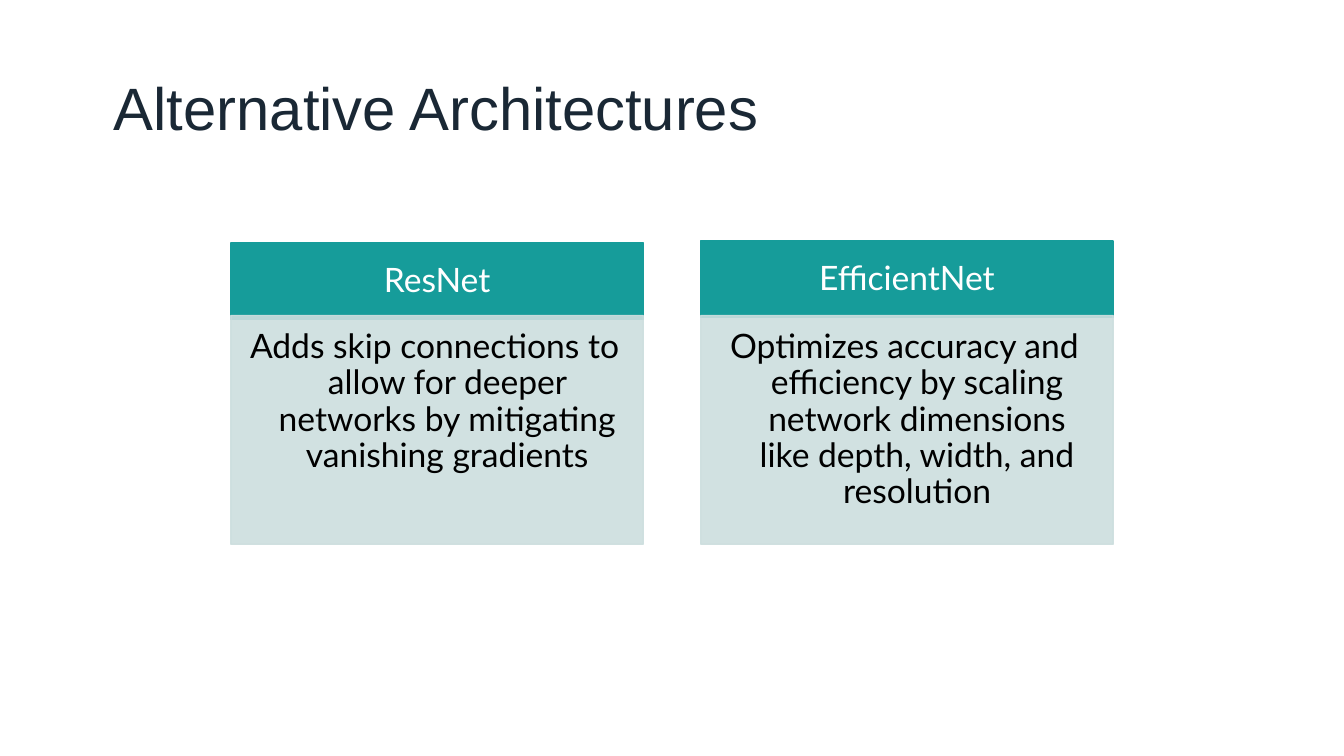
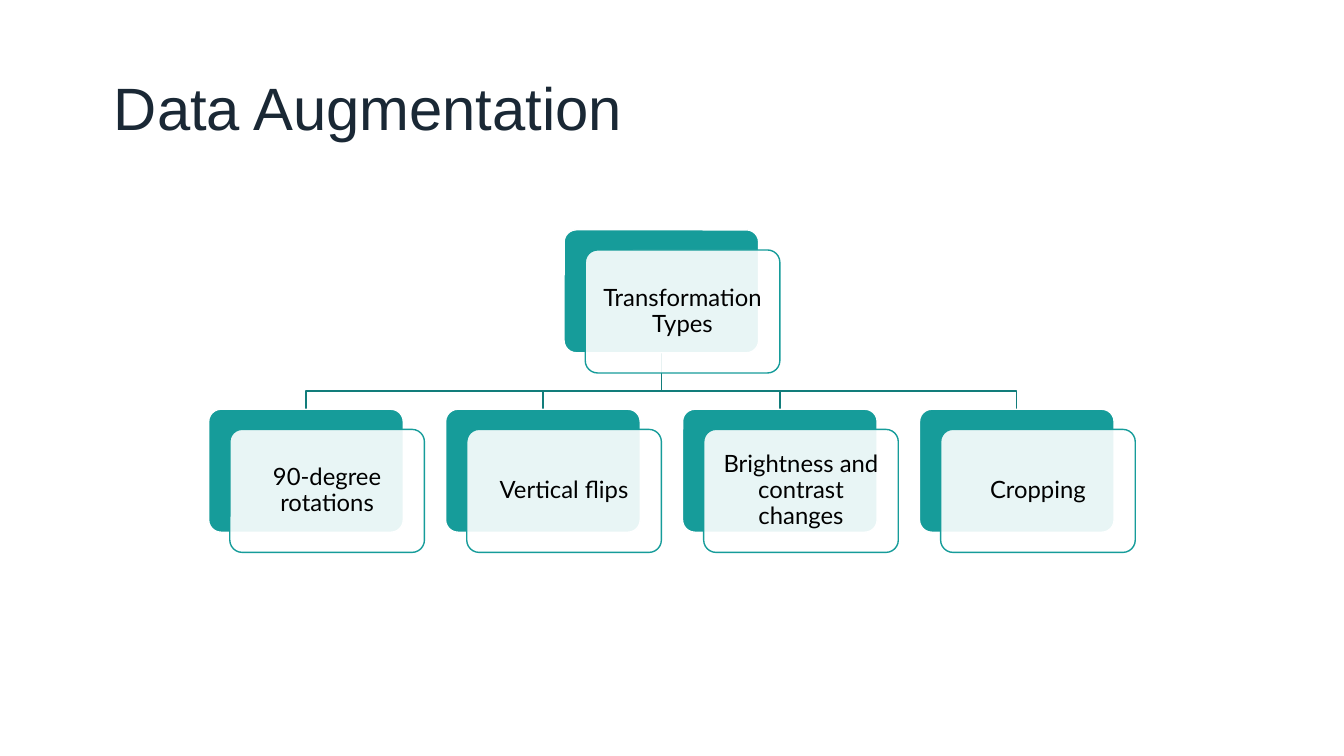
import pptx
import pptx.util
import pptx.dml.color
import pptx.enum.shapes
import pptx.enum.text
import pptx.oxml
import pptx.oxml.ns

Inches = pptx.util.Inches
Pt = pptx.util.Pt
RGBColor = pptx.dml.color.RGBColor
Shape = pptx.enum.shapes.MSO_SHAPE
Anchor = pptx.enum.text.MSO_ANCHOR
Align = pptx.enum.text.PP_ALIGN

TEAL = RGBColor(0x16, 0x9C, 0x9A)
DARK_TEAL = RGBColor(0x12, 0x7D, 0x7B)
PALE_TEAL = RGBColor(0xCC, 0xDE, 0xDE)
NAVY = RGBColor(0x1A, 0x28, 0x35)
WHITE = RGBColor(0xFF, 0xFF, 0xFF)
BLACK = RGBColor(0x00, 0x00, 0x00)

ARCHITECTURES_TITLE = "Alternative Architectures"
ARCHITECTURES = [
    ("ResNet", 2.41,
     "Adds skip connections to allow for deeper networks by mitigating vanishing gradients"),
    ("EfficientNet", 2.39,
     "Optimizes accuracy and efficiency by scaling network dimensions like depth, width, and resolution"),
]
AUGMENTATION_TITLE = "Data Augmentation"
ROOT = "Transformation Types"
TRANSFORMATIONS = [
    "90-degree rotations",
    "Vertical flips",
    "Brightness and contrast changes",
    "Cropping",
]

CARD_LEFT, CARD_WIDTH, CARD_PITCH = 2.29, 4.09, 4.66
HEADER_HEIGHT, BODY_TOP, BODY_HEIGHT = 0.76, 3.13, 2.27
NODE_WIDTH, NODE_HEIGHT = 1.93, 1.22
NODE_LEFT, NODE_PITCH = 2.07, 2.35
PANEL_SHIFT_X, PANEL_SHIFT_Y = 0.21, 0.2
ROOT_TOP, CHILD_TOP, BRANCH_Y = 2.28, 4.06, 3.88


def set_alpha(shape, path, percent):
    for color in shape.element.spPr.xpath(path + "/a:srgbClr"):
        alpha = pptx.oxml.parse_xml(
            f'<a:alpha {pptx.oxml.ns.nsdecls("a")} val="{percent * 1000}"/>')
        color.append(alpha)


def add_block(page, kind, at, fill, line, fill_alpha=100, line_alpha=100):
    shape = page.shapes.add_shape(kind, *map(Inches, at))
    shape.shadow.inherit = False
    shape.fill.solid()
    shape.fill.fore_color.rgb = fill
    shape.line.color.rgb = line
    shape.line.width = Pt(1)
    if kind == Shape.ROUNDED_RECTANGLE:
        shape.adjustments[0] = 0.1
    if fill_alpha < 100:
        set_alpha(shape, "a:solidFill", fill_alpha)
    if line_alpha < 100:
        set_alpha(shape, "a:ln/a:solidFill", line_alpha)
    return shape


def write(shape, text, size, color, margins, font="Lato",
          align=Align.CENTER, anchor=Anchor.MIDDLE, spacing=0.9):
    frame = shape.text_frame
    frame.word_wrap = True
    frame.vertical_anchor = anchor
    (frame.margin_left, frame.margin_top,
     frame.margin_right, frame.margin_bottom) = map(Inches, margins)
    para = frame.paragraphs[0]
    para.alignment = align
    para.line_spacing = spacing
    span = para.add_run()
    span.text = text
    span.font.name = font
    span.font.size = Pt(size)
    span.font.color.rgb = color
    return para


def add_page(deck, title):
    page = deck.slides.add_slide(deck.slide_layouts[6])
    page.background.fill.solid()
    page.background.fill.fore_color.rgb = WHITE
    box = page.shapes.add_textbox(Inches(1), Inches(0.66), Inches(11.33), Inches(0.8))
    write(box, title, 42.7, NAVY, [0.13] * 4, "Arial", Align.LEFT, spacing=1.0)
    return page


def add_card(page, left, top, name, detail):
    header = add_block(page, Shape.RECTANGLE, (left, top, CARD_WIDTH, HEADER_HEIGHT), TEAL, TEAL)
    write(header, name, 24, WHITE, (0.19, 0.11, 0.19, 0.11))
    body = add_block(page, Shape.RECTANGLE, (left, BODY_TOP, CARD_WIDTH, BODY_HEIGHT),
                     PALE_TEAL, PALE_TEAL, 90, 90)
    para = write(body, detail, 24, BLACK, (0.14, 0.14, 0.19, 0.21), anchor=Anchor.TOP)
    properties = para._p.get_or_add_pPr()
    properties.set("marL", str(Inches(0.25)))
    properties.set("indent", str(Inches(-0.25)))


def add_branch(page, start_x, end_x):
    points = [(start_x, BRANCH_Y), (end_x, BRANCH_Y), (end_x, CHILD_TOP)]
    builder = page.shapes.build_freeform(Inches(start_x), Inches(ROOT_TOP + NODE_HEIGHT))
    builder.add_line_segments([(Inches(x), Inches(y)) for x, y in points], close=False)
    branch = builder.convert_to_shape()
    branch.shadow.inherit = False
    branch.fill.background()
    branch.line.color.rgb = DARK_TEAL
    branch.line.width = Pt(1)


def add_node(page, left, top, text):
    size = (NODE_WIDTH, NODE_HEIGHT)
    add_block(page, Shape.ROUNDED_RECTANGLE, (left, top, *size), TEAL, WHITE)
    panel = add_block(page, Shape.ROUNDED_RECTANGLE,
                      (left + PANEL_SHIFT_X, top + PANEL_SHIFT_Y, *size), WHITE, TEAL, 90)
    write(panel, text, 17, BLACK, [0.07] * 4)


def build_architectures(deck):
    page = add_page(deck, ARCHITECTURES_TITLE)
    for index, (name, top, detail) in enumerate(ARCHITECTURES):
        add_card(page, CARD_LEFT + index * CARD_PITCH, top, name, detail)


def build_augmentation(deck):
    page = add_page(deck, AUGMENTATION_TITLE)
    lefts = [NODE_LEFT + index * NODE_PITCH for index in range(len(TRANSFORMATIONS))]
    root_left = (lefts[0] + lefts[-1]) / 2
    for left in reversed(lefts):
        add_branch(page, root_left + NODE_WIDTH / 2, left + NODE_WIDTH / 2)
    add_node(page, root_left, ROOT_TOP, ROOT)
    for left, text in zip(lefts, TRANSFORMATIONS):
        add_node(page, left, CHILD_TOP, text)


def main():
    deck = pptx.Presentation()
    deck.slide_width = Inches(13.33)
    deck.slide_height = Inches(7.5)
    build_architectures(deck)
    build_augmentation(deck)
    deck.save("out.pptx")


if __name__ == "__main__":
    main()
